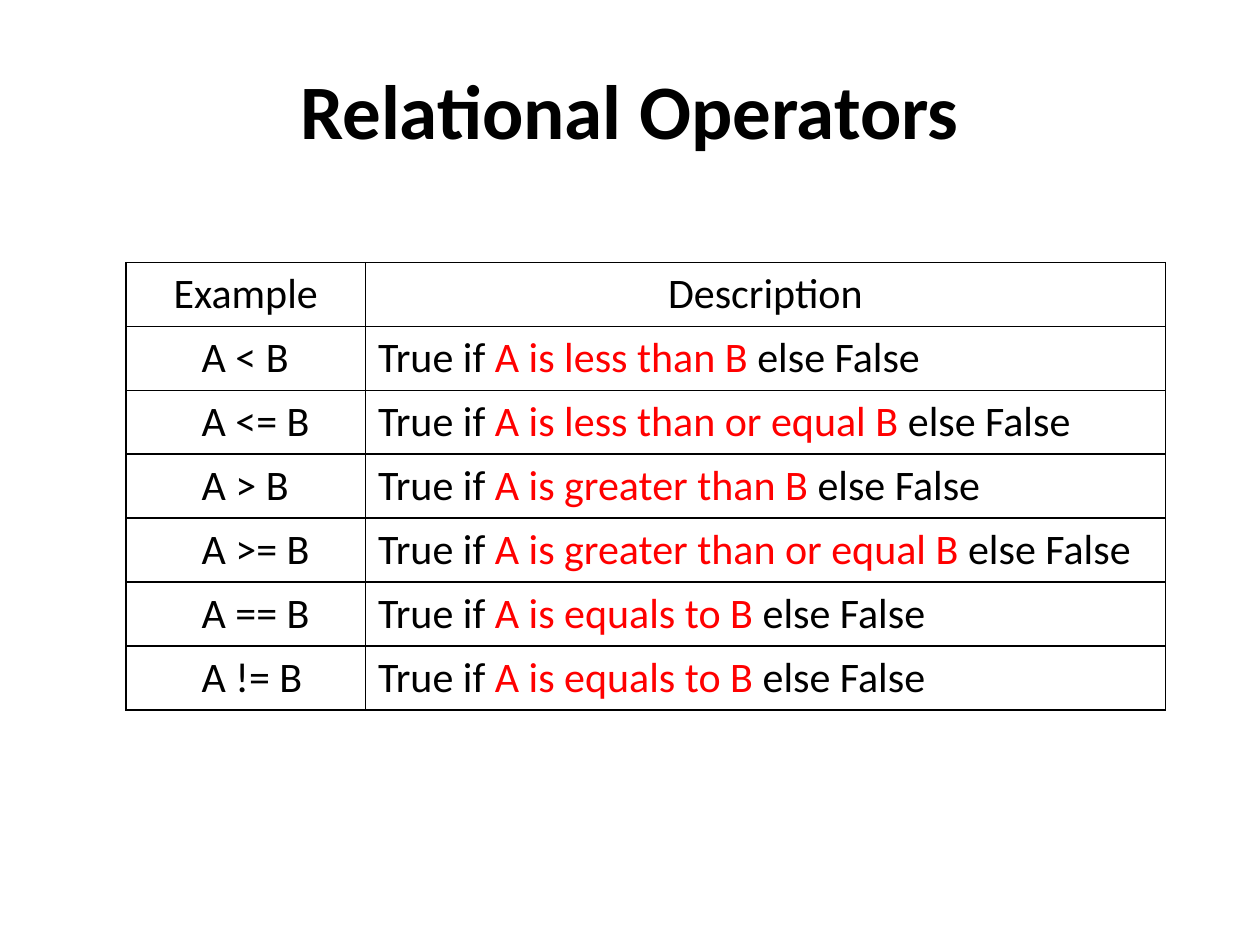
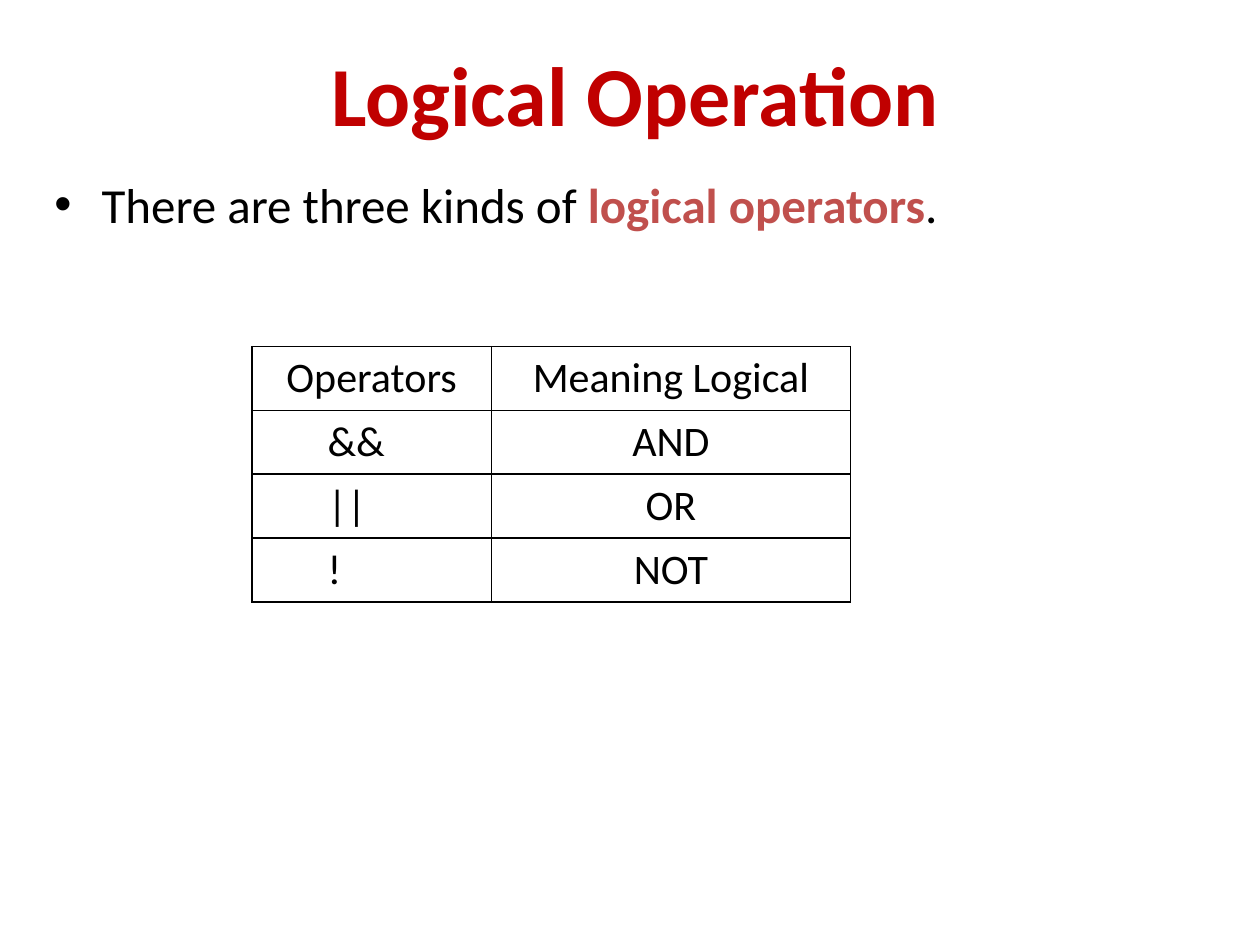
from lxml import etree
from pptx import Presentation
from pptx.dml.color import RGBColor
from pptx.enum.text import MSO_ANCHOR, PP_ALIGN
from pptx.oxml.ns import qn
from pptx.util import Pt

CENTER, LEFT = PP_ALIGN.CENTER, PP_ALIGN.LEFT
MIDDLE = MSO_ANCHOR.MIDDLE
FONT = "Calibri"
COLORS = {"black": "000000", "red": "FF0000", "dark": "C00000", "rose": "C0504D"}
ROW = 36.5
TITLE_ONLY = 5


def color(name):
    return RGBColor.from_string(COLORS[name])


def style(para, size, tint="black", bold=False):
    para.font.name = FONT
    para.font.size = Pt(size)
    para.font.bold = bold
    para.font.color.rgb = color(tint)


def write(para, parts, size, align=LEFT):
    para.alignment = align
    style(para, size)
    for text, tint, bold in parts:
        run = para.add_run()
        run.text = text
        if tint != "black":
            run.font.color.rgb = color(tint)
        if bold:
            run.font.bold = True


def indent(para, left, first=0):
    props = para._p.get_or_add_pPr()
    props.set("marL", str(Pt(left)))
    props.set("indent", str(Pt(first)))
    return props


def add_title(deck, text, box, size, tint):
    slide = deck.slides.add_slide(deck.slide_layouts[TITLE_ONLY])
    title = slide.shapes.title
    title.left, title.top, title.width, title.height = map(Pt, box)
    title.text_frame.text = text
    title.text_frame.vertical_anchor = MIDDLE
    para = title.text_frame.paragraphs[0]
    para.alignment = CENTER
    style(para, size, tint, True)
    return slide


def add_bullet(slide, parts, box, size):
    frame = slide.shapes.add_textbox(*map(Pt, box)).text_frame
    frame.word_wrap = True
    para = frame.paragraphs[0]
    props = indent(para, 27, -27)
    etree.SubElement(props, qn("a:buFont")).set("typeface", "Arial")
    etree.SubElement(props, qn("a:buChar")).set("char", "•")
    write(para, parts, size)


def frame_cell(cell):
    props = cell._tc.get_or_add_tcPr()
    for side in ("lnL", "lnR", "lnT", "lnB"):
        line = etree.SubElement(props, qn(f"a:{side}"), w=str(Pt(1)))
        fill = etree.SubElement(line, qn("a:solidFill"))
        etree.SubElement(fill, qn("a:srgbClr")).set("val", COLORS["black"])
    cell.fill.background()


def add_grid(slide, left, top, widths, heads, rows, align):
    count = len(rows) + 1
    table = slide.shapes.add_table(
        count, len(widths), Pt(left), Pt(top), Pt(sum(widths)), Pt(ROW * count)
    ).table
    table.first_row = table.horz_banding = False
    for col, width in zip(table.columns, widths):
        col.width = Pt(width)
    heads = [[(head, "black", False)] for head in heads]
    body = [([(sign, "black", False)], parts) for sign, parts in rows]
    for r, texts in enumerate([heads, *body]):
        for c, parts in enumerate(texts):
            cell = table.cell(r, c)
            frame_cell(cell)
            para = cell.text_frame.paragraphs[0]
            if r and c == 0:
                indent(para, 36)
            place = CENTER if r == 0 else (LEFT, align)[c]
            write(para, parts, 24, place)


def add_relations(deck):
    slide = add_title(deck, "Relational Operators", (36, 21.6, 648, 81), 44, "black")
    tests = [
        ("<", "less than"),
        ("<=", "less than or equal"),
        (">", "greater than"),
        (">=", "greater than or equal"),
        ("==", "equals to"),
        ("!=", "equals to"),
    ]
    rows = [
        (
            f"A {sign} B",
            [
                ("True if ", "black", False),
                (f"A is {words} B ", "red", False),
                ("else False", "black", False),
            ],
        )
        for sign, words in tests
    ]
    add_grid(slide, 72, 150, (136.8, 457.2), ("Example", "Description"), rows, LEFT)


def add_logic(deck):
    slide = add_title(deck, "Logical Operation", (24, 21.6, 678, 63), 48, "dark")
    parts = [
        ("There are three kinds of ", "black", False),
        ("logical operators", "rose", True),
        (".", "black", False),
    ]
    add_bullet(slide, parts, (24, 96, 678, 414), 28)
    words = [("&&", "AND"), ("||", "OR"), ("!", "NOT")]
    rows = [(sign, [(word, "black", False)]) for sign, word in words]
    heads = ("Operators", "Meaning Logical")
    add_grid(slide, 144, 198, (136.8, 205.2), heads, rows, CENTER)


def main():
    deck = Presentation()
    deck.slide_width, deck.slide_height = Pt(720), Pt(540)
    add_relations(deck)
    add_logic(deck)
    deck.save("out.pptx")


if __name__ == "__main__":
    main()
